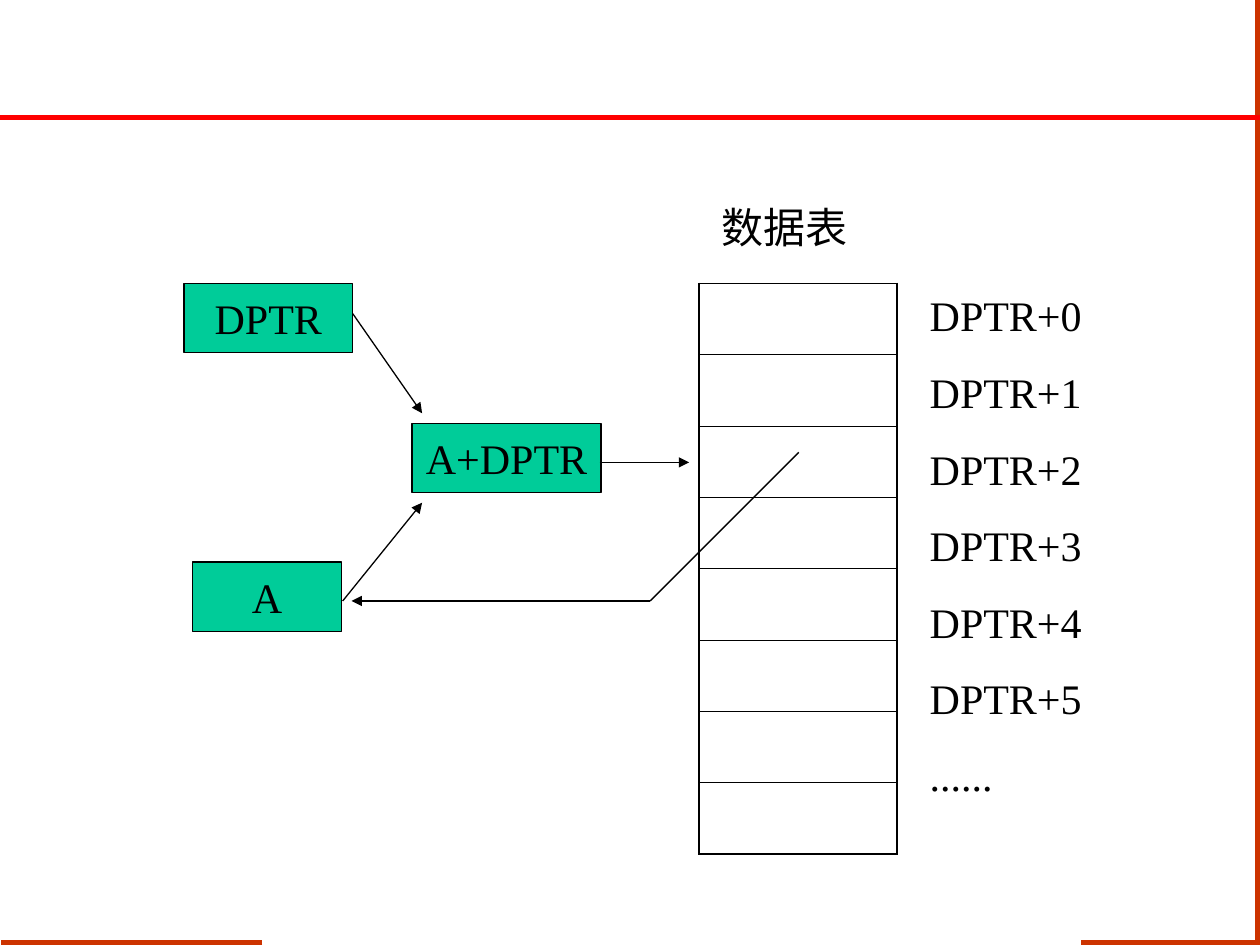
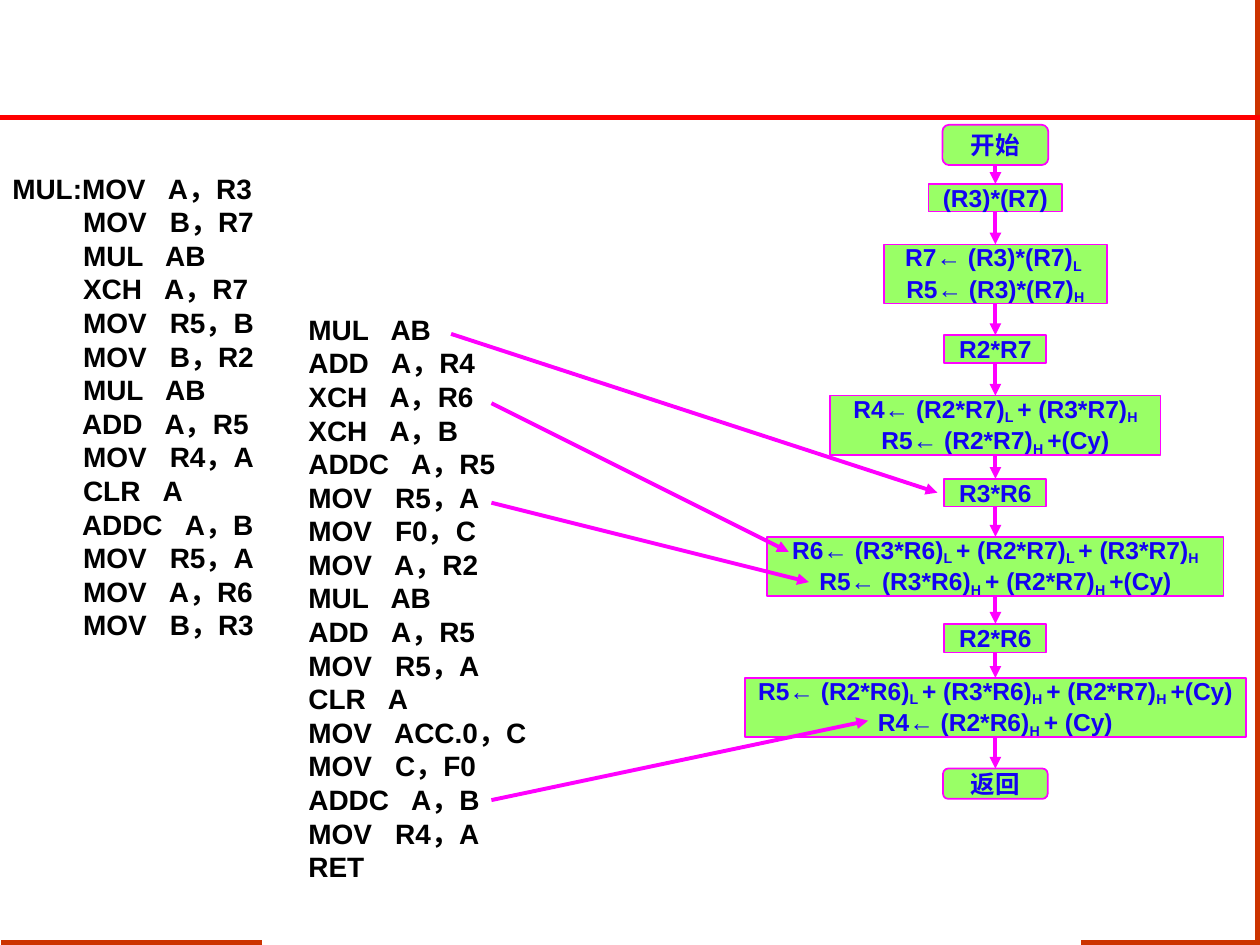
from lxml import etree
from pptx import Presentation
from pptx.dml.color import RGBColor
from pptx.enum.shapes import MSO_CONNECTOR, MSO_SHAPE
from pptx.enum.text import MSO_ANCHOR, PP_ALIGN
from pptx.oxml.ns import qn
from pptx.util import Inches, Pt

STRAIGHT = MSO_CONNECTOR.STRAIGHT
RECT, ROUNDED = MSO_SHAPE.RECTANGLE, MSO_SHAPE.ROUNDED_RECTANGLE
LEFT, CENTER = PP_ALIGN.LEFT, PP_ALIGN.CENTER
MIDDLE = MSO_ANCHOR.MIDDLE

BLACK = RGBColor(0x00, 0x00, 0x00)
RED = RGBColor(0xFF, 0x00, 0x00)
RUST = RGBColor(0xCC, 0x33, 0x00)
TEAL = RGBColor(0x00, 0xCC, 0x99)
LIME = RGBColor(0x99, 0xFF, 0x66)
MAGENTA = RGBColor(0xFF, 0x00, 0xFF)
BLUE = RGBColor(0x13, 0x02, 0xF2)

REGISTER_FONT = {"name": "Times New Roman", "size": Pt(24), "bold": False}
CODE_FONT = {"name": "Arial", "size": Pt(16), "bold": True}
STEP_FONT = {"name": "Arial", "size": Pt(14), "bold": True}


def add_line(slide, start, end, color, width, arrow=False):
    line = slide.shapes.add_connector(STRAIGHT, *map(Inches, start + end))
    line.line.color.rgb = color
    line.line.width = Pt(width)
    properties = line._element.spPr
    if arrow:
        outline = properties.find(qn("a:ln"))
        etree.SubElement(outline, qn("a:tailEnd"), type="triangle")
    etree.SubElement(properties, qn("a:effectLst"))


def write_lines(frame, lines, font_values, color, align=LEFT, space_before=0):
    """One paragraph per line; every second piece between bars is a subscript."""
    for number, text in enumerate(lines):
        paragraph = frame.paragraphs[0] if number == 0 else frame.add_paragraph()
        paragraph.alignment = align
        if number and space_before:
            paragraph.space_before = Pt(space_before)
        for piece_number, piece in enumerate(text.split("|")):
            if not piece:
                continue
            run = paragraph.add_run()
            run.text = piece
            for attribute, value in font_values.items():
                setattr(run.font, attribute, value)
            run.font.color.rgb = color
            if piece_number % 2:
                run.font._element.set("baseline", "-18000")


deck = Presentation()
deck.slide_width, deck.slide_height = Inches(10), Inches(7.5)
lookup_slide, multiply_slide = (
    deck.slides.add_slide(deck.slide_layouts[6]) for _ in range(2))

# Frame lines shared by both slides
frame_lines = [
    ((2.08, 7.48), (0.01, 7.48), RUST),
    ((9.98, 7.5), (9.98, 0), RUST),
    ((9.96, 7.48), (8.58, 7.48), RUST),
    ((10, 0.93), (0, 0.93), RED),
]
for slide in (lookup_slide, multiply_slide):
    for start, end, color in frame_lines:
        add_line(slide, start, end, color, 3)

# Slide 1: table lookup through A + DPTR
registers = [
    ("DPTR", 1.46, 2.25, 1.34),
    ("A", 1.53, 4.46, 1.18),
    ("A+DPTR", 3.27, 3.36, 1.5),
]
for register, left, top, width in registers:
    box = lookup_slide.shapes.add_shape(
        RECT, Inches(left), Inches(top), Inches(width), Inches(0.55))
    box.shadow.inherit = False
    box.fill.solid()
    box.fill.fore_color.rgb = TEAL
    box.line.color.rgb = BLACK
    box.line.width = Pt(0.75)
    box.text_frame.word_wrap = False
    box.text_frame.vertical_anchor = MIDDLE
    write_lines(box.text_frame, [register], REGISTER_FONT, BLACK, CENTER)

ROW_COUNT = 8
data_table = lookup_slide.shapes.add_table(
    ROW_COUNT, 1, Inches(5.55), Inches(2.25), Inches(1.57), Inches(4.53)).table
data_table.first_row = data_table.horz_banding = False
for row in range(ROW_COUNT):
    cell = data_table.cell(row, 0)
    border_widths = {
        "a:lnL": 1.08,
        "a:lnR": 1.08,
        "a:lnT": 1.08 if row == 0 else 0.45,
        "a:lnB": 1.08 if row == ROW_COUNT - 1 else 0.45,
    }
    cell_properties = cell._tc.get_or_add_tcPr()
    for tag, width in border_widths.items():
        border = etree.SubElement(cell_properties, qn(tag), w=str(Pt(width)))
        border_fill = etree.SubElement(border, qn("a:solidFill"))
        etree.SubElement(border_fill, qn("a:srgbClr"), val=str(BLACK))
    cell.fill.background()

addresses = [f"DPTR+{offset}" for offset in range(6)] + ["......"]
table_labels = [
    (addresses, 7.28, 2.25, 1.42, 4.15),
    (["数据表"], 5.63, 1.55, 1.57, 0.5),
]
for lines, *place in table_labels:
    label = lookup_slide.shapes.add_textbox(*map(Inches, place)).text_frame
    label.word_wrap = True
    write_lines(label, lines, REGISTER_FONT, BLACK, space_before=15)

lookup_paths = [
    ((4.76, 3.67), (5.47, 3.67), True),
    ((2.72, 4.77), (3.35, 3.99), True),
    ((2.8, 2.49), (3.35, 3.28), True),
    ((6.34, 3.59), (5.16, 4.77), False),
    ((5.16, 4.77), (2.79, 4.77), True),
]
for start, end, arrow in lookup_paths:
    add_line(lookup_slide, start, end, BLACK, 0.75, arrow)

# Slide 2: multiplication code beside its flow chart
first_code = [
    "MUL:MOV   A，R3",
    " MOV   B，R7",
    " MUL   AB",
    " XCH   A，R7",
    " MOV   R5，B",
    " MOV   B，R2",
    " MUL   AB",
    " ADD   A，R5",
    " MOV   R4，A",
    " CLR   A",
    " ADDC   A，B",
    " MOV   R5，A",
    " MOV   A，R6",
    " MOV   B，R3",
]
second_code = [
    "MUL   AB",
    "ADD   A，R4",
    "XCH   A，R6",
    "XCH   A，B",
    "ADDC   A，R5",
    "MOV   R5，A",
    "MOV   F0，C",
    "MOV   A，R2",
    "MUL   AB",
    "ADD   A，R5",
    "MOV   R5，A",
    "CLR   A",
    "MOV   ACC.0，C",
    "MOV   C，F0",
    "ADDC   A，B",
    "MOV   R4，A",
    "RET",
]
code_columns = [
    (first_code, 0, 1.31, 2.94, 3.83),
    (second_code, 2.35, 2.43, 2.04, 4.9),
]
for code, *place in code_columns:
    listing = multiply_slide.shapes.add_textbox(*map(Inches, place)).text_frame
    listing.word_wrap = True
    write_lines(listing, code, CODE_FONT, BLACK)
    for paragraph in listing.paragraphs:
        if paragraph.text.startswith(" "):
            paragraph.level = 1
            indent = paragraph._p.get_or_add_pPr()
            indent.set("marL", str(Inches(0.5)))
            indent.set("indent", "0")

FLOW_CENTER = 7.9
flow_steps = [
    (ROUNDED, 0.99, 0.84, 0.32, ["开始"]),
    (RECT, 1.46, 1.06, 0.22, ["(R3)*(R7)"]),
    (RECT, 1.94, 1.77, 0.47, ["R7← (R3)*(R7)|L |", "R5← (R3)*(R7)|H|"]),
    (RECT, 2.66, 0.81, 0.22, ["R2*R7"]),
    (RECT, 3.14, 2.62, 0.47,
     ["R4← (R2*R7)|L |+ (R3*R7)|H|", "R5← (R2*R7)|H |+(Cy)"]),
    (RECT, 3.8, 0.81, 0.22, ["R3*R6"]),
    (RECT, 4.26, 3.62, 0.47,
     ["R6← (R3*R6)|L |+ (R2*R7)|L |+ (R3*R7)|H|",
      "R5← (R3*R6)|H |+ (R2*R7)|H |+(Cy)"]),
    (RECT, 4.95, 0.81, 0.23, ["R2*R6"]),
    (RECT, 5.38, 3.98, 0.47,
     ["R5← (R2*R6)|L |+ (R3*R6)|H |+ (R2*R7)|H |+(Cy)",
      "R4← (R2*R6)|H |+ (Cy)"]),
    (ROUNDED, 6.1, 0.83, 0.24, ["返回"]),
]
for outline, top, width, height, lines in flow_steps:
    step = multiply_slide.shapes.add_shape(
        outline, Inches(FLOW_CENTER - width / 2), Inches(top),
        Inches(width), Inches(height))
    step.shadow.inherit = False
    step.fill.solid()
    step.fill.fore_color.rgb = LIME
    step.line.color.rgb = MAGENTA
    step.line.width = Pt(1)
    step.text_frame.word_wrap = False
    step.text_frame.vertical_anchor = MIDDLE
    write_lines(step.text_frame, lines, STEP_FONT, BLUE, CENTER)

for (_, top, _, height, _), (_, next_top, *_) in zip(flow_steps, flow_steps[1:]):
    add_line(multiply_slide, (FLOW_CENTER, top + height),
             (FLOW_CENTER, next_top), MAGENTA, 2.25, True)

code_to_step = [
    ((3.58, 2.65), (7.44, 3.91)),
    ((3.9, 3.2), (6.26, 4.38)),
    ((3.9, 3.99), (6.42, 4.62)),
    ((3.9, 6.35), (6.89, 5.72)),
]
for start, end in code_to_step:
    add_line(multiply_slide, start, end, MAGENTA, 2.25, True)

deck.save("out.pptx")
